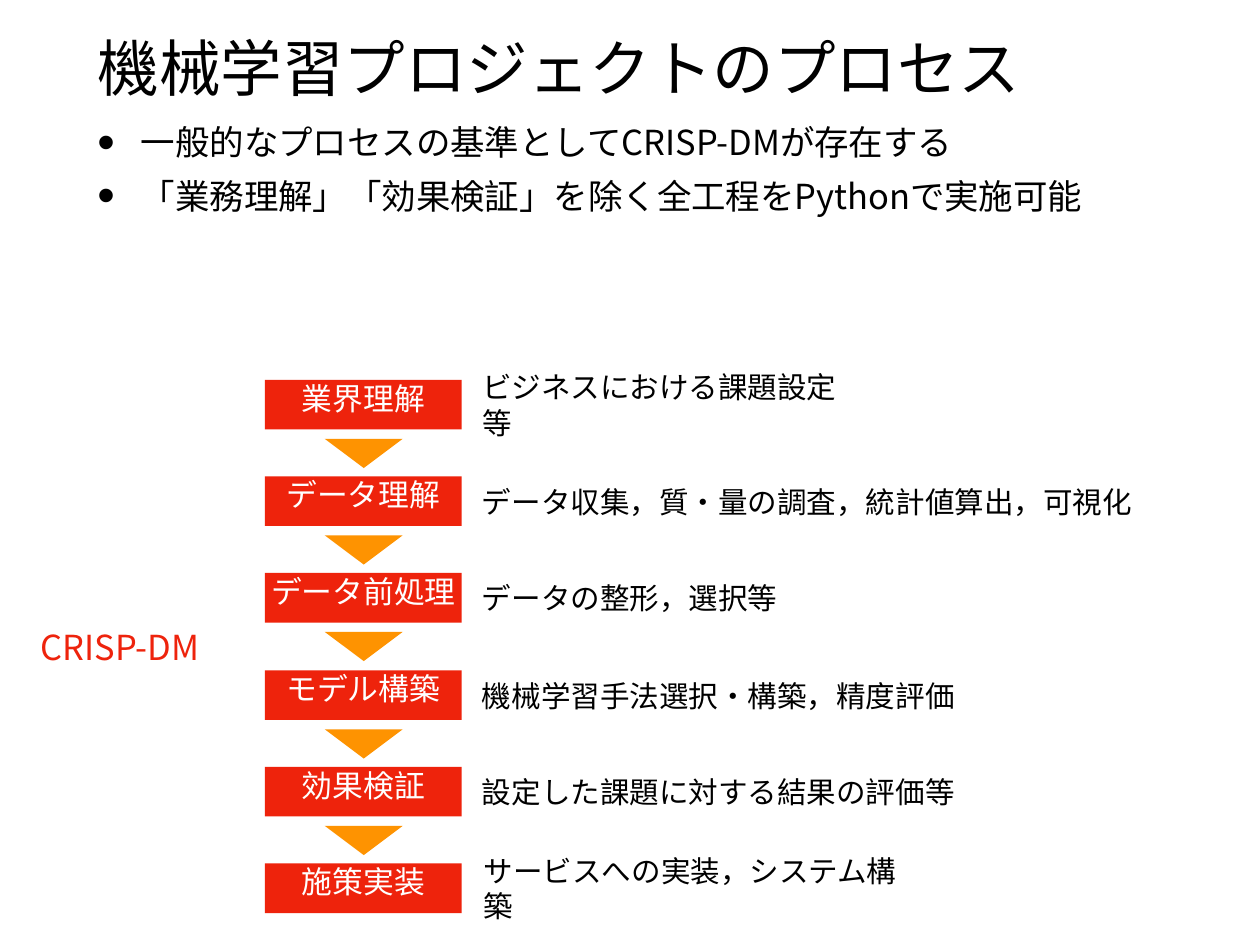
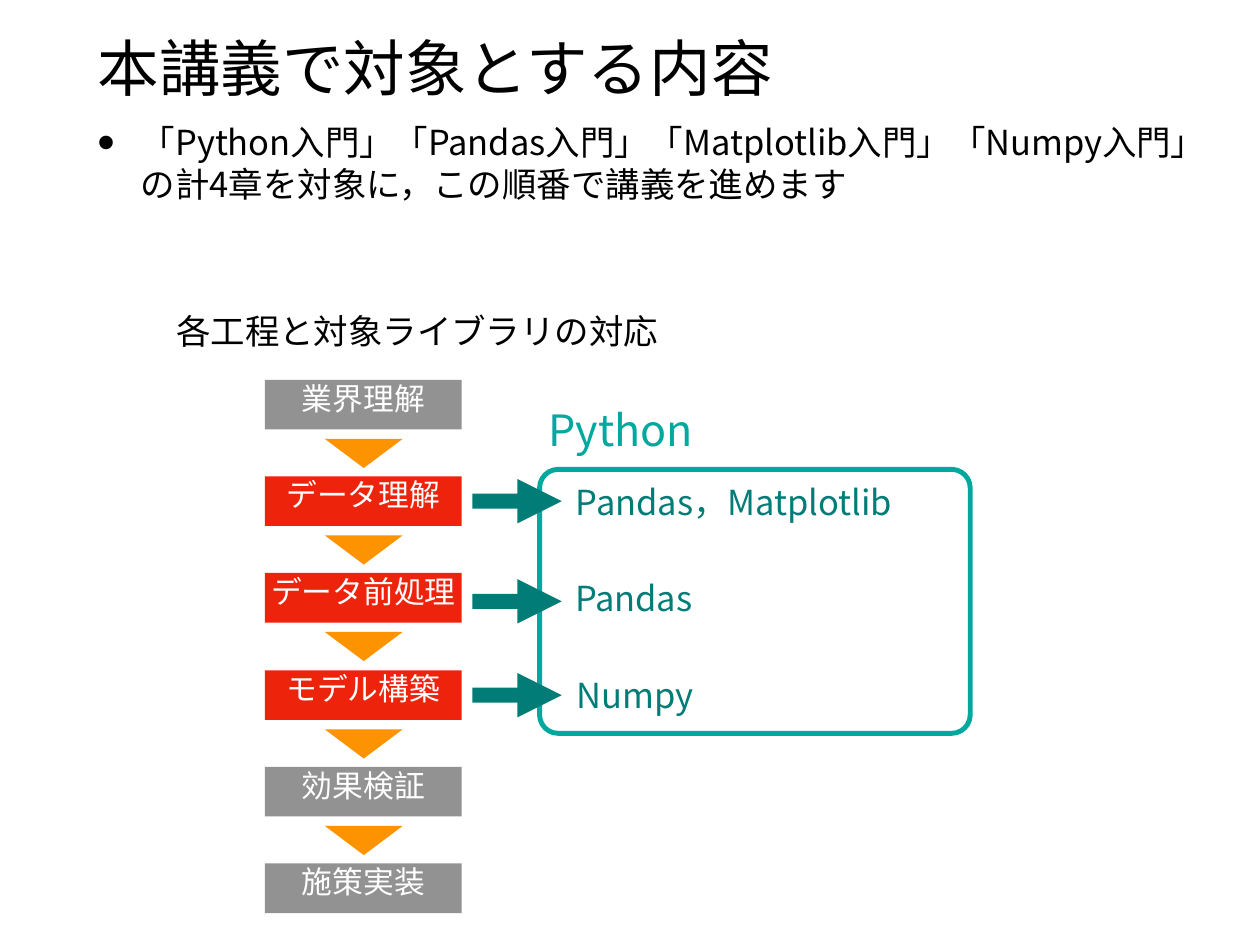
import pptx
import pptx.util
import pptx.dml.color
import pptx.enum.shapes
import pptx.enum.text
import pptx.oxml
import pptx.oxml.ns

MSO = pptx.enum.shapes.MSO_SHAPE
ANCHOR = pptx.enum.text.MSO_ANCHOR
ALIGN = pptx.enum.text.PP_ALIGN
AUTO = pptx.enum.text.MSO_AUTO_SIZE
NS = pptx.oxml.ns.nsdecls("a")

BLACK, WHITE = "000000", "FFFFFF"
RED, GRAY, ORANGE = "EE230C", "929292", "FE9301"
TEAL, DARK_TEAL = "00A89D", "017C76"

STEPS = ["業界理解", "データ理解", "データ前処理", "モデル構築", "効果検証", "施策実装"]
DETAILS = [
    ("ビジネスにおける課題設定等", 538, 445),
    ("データ収集，質・量の調査，統計値算出，可視化", 538, 746),
    ("データの整形，選択等", 538, 346),
    ("機械学習手法選択・構築，精度評価", 538, 546),
    ("設定した課題に対する結果の評価等", 538, 546),
    ("サービスへの実装，システム構築", 540, 509),
]
LIBRARIES = [
    (1, "Pandas，Matplotlib", 644, 415, 541),
    (2, "Pandas", 643, 166, 654),
    (3, "Numpy", 645, 162, 760),
]


def px(n):
    return pptx.util.Emu(n * 9144)


def rgb(value):
    return pptx.dml.color.RGBColor.from_string(value)


def row_top(i):
    return round(429 + 109.2 * i)


class Deck:
    font = "Noto Sans CJK JP"

    def __init__(self):
        self.prs = pptx.Presentation()
        self.prs.slide_width, self.prs.slide_height = px(1422), px(1067)
        self.s = None

    def slide(self, title, body, width, height):
        self.s = self.prs.slides.add_slide(self.prs.slide_layouts[1])
        self.placeholder(0, (104, 28, 1214, 100), [title], 50)
        tf = self.placeholder(1, (104, 131, width, height), body, 28)
        for i, p in enumerate(tf.paragraphs):
            p.space_before = pptx.util.Pt(10 if i else 0)
            pPr = p._p.get_or_add_pPr()
            pPr.set("marL", str(px(49)))
            pPr.set("indent", str(px(-49)))
            for xml in ('<a:buSzPct %s val="145000"/>', '<a:buChar %s char="•"/>'):
                pPr.append(pptx.oxml.parse_xml(xml % NS))

    def placeholder(self, idx, box, lines, size):
        sp = self.s.placeholders[idx]
        for name, value in zip(("left", "top", "width", "height"), box):
            setattr(sp, name, px(value))
        self.fill_text(sp.text_frame, lines, size, BLACK, ANCHOR.TOP)
        return sp.text_frame

    def fill_text(self, tf, lines, size, color, anchor=ANCHOR.MIDDLE, **para):
        frame = {"word_wrap": True, "auto_size": AUTO.NONE, "vertical_anchor": anchor}
        frame.update({"margin_" + side: px(6) for side in ("left", "top", "right", "bottom")})
        for name, value in frame.items():
            setattr(tf, name, value)
        for i, line in enumerate(lines):
            p = tf.add_paragraph() if i else tf.paragraphs[0]
            for name, value in {"alignment": ALIGN.LEFT, **para}.items():
                setattr(p, name, value)
            r = p.add_run()
            r.text = line
            r.font.size = pptx.util.Pt(size)
            r.font.color.rgb = rgb(color)
            r.font.name = self.font
            ea = pptx.oxml.parse_xml('<a:ea %s typeface="%s"/>' % (NS, self.font))
            r._r.get_or_add_rPr().append(ea)

    def label(self, text, x, y, w, h, size=28, color=BLACK):
        sp = self.s.shapes.add_textbox(px(x), px(y), px(w), px(h))
        self.fill_text(sp.text_frame, [text], size, color)

    def shape(self, kind, x, y, w, h, fill=None, line=None, adj=(), rotation=0):
        sp = self.s.shapes.add_shape(kind, px(x), px(y), px(w), px(h))
        sp.shadow.inherit = False
        sp.rotation = rotation
        for i, value in enumerate(adj):
            sp.adjustments[i] = value
        if fill:
            sp.fill.solid()
            sp.fill.fore_color.rgb = rgb(fill)
        else:
            sp.fill.background()
        if line:
            sp.line.color.rgb = rgb(line)
            sp.line.width = pptx.util.Pt(4)
        else:
            sp.line.fill.background()
        return sp

    def process(self, active):
        for i, step in enumerate(STEPS):
            y = row_top(i)
            sp = self.shape(MSO.RECTANGLE, 299, y, 222, 56, RED if i in active else GRAY)
            self.fill_text(sp.text_frame, [step], 25, WHITE,
                           alignment=ALIGN.CENTER, line_spacing=0.5)
            if i < len(STEPS) - 1:
                self.shape(MSO.RIGHT_ARROW, 394, y + 39, 33, 88, ORANGE,
                           adj=(0.33, 1.61), rotation=90)


def main():
    deck = Deck()

    deck.slide("機械学習プロジェクトのプロセス",
               ["一般的なプロセスの基準としてCRISP-DMが存在する",
                "「業務理解」「効果検証」を除く全工程をPythonで実施可能"], 1214, 296)
    deck.process(range(len(STEPS)))
    deck.label("CRISP-DM", 40, 705, 226, 50, color=RED)
    for i, (text, x, w) in enumerate(DETAILS):
        deck.label(text, x, row_top(i) + 6, w, 44, 24)

    deck.slide("本講義で対象とする内容",
               ["「Python入門」「Pandas入門」「Matplotlib入門」「Numpy入門」"
                "の計4章を対象に，この順番で講義を進めます"], 1271, 187)
    deck.process([row for row, *_ in LIBRARIES])
    deck.shape(MSO.ROUNDED_RECTANGLE, 609, 530, 486, 298, line=TEAL, adj=(0.07,))
    deck.label("Python", 613, 455, 197, 60, 35, TEAL)
    for row, name, x, w, arrow_top in LIBRARIES:
        deck.label(name, x, row_top(row) + 3, w, 50, color=DARK_TEAL)
        deck.shape(MSO.RIGHT_ARROW, 533, arrow_top, 101, 50, DARK_TEAL, adj=(0.34, 1))
    deck.label("各工程と対象ライブラリの対応", 193, 348, 557, 50)

    deck.prs.save("out.pptx")


if __name__ == "__main__":
    main()
